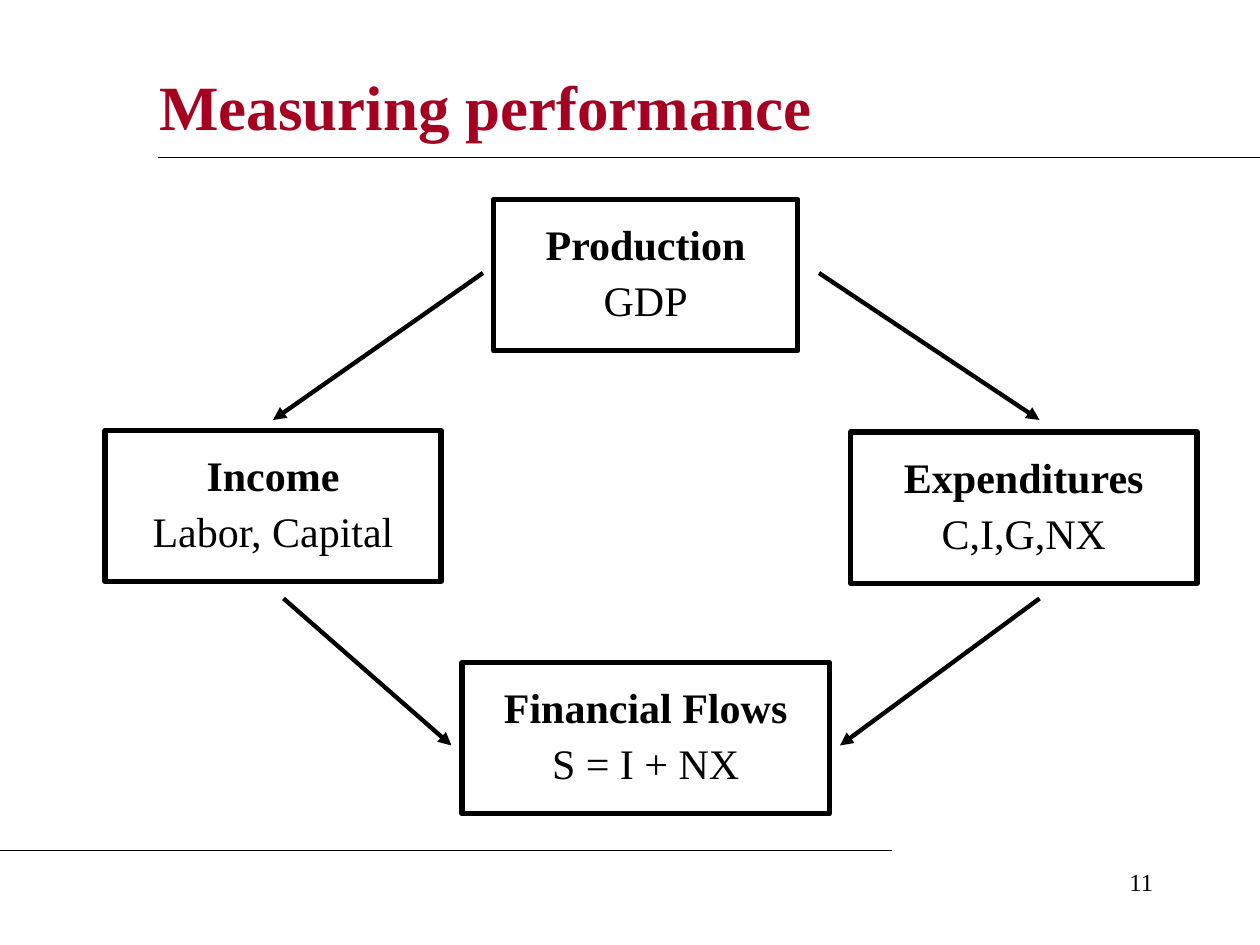
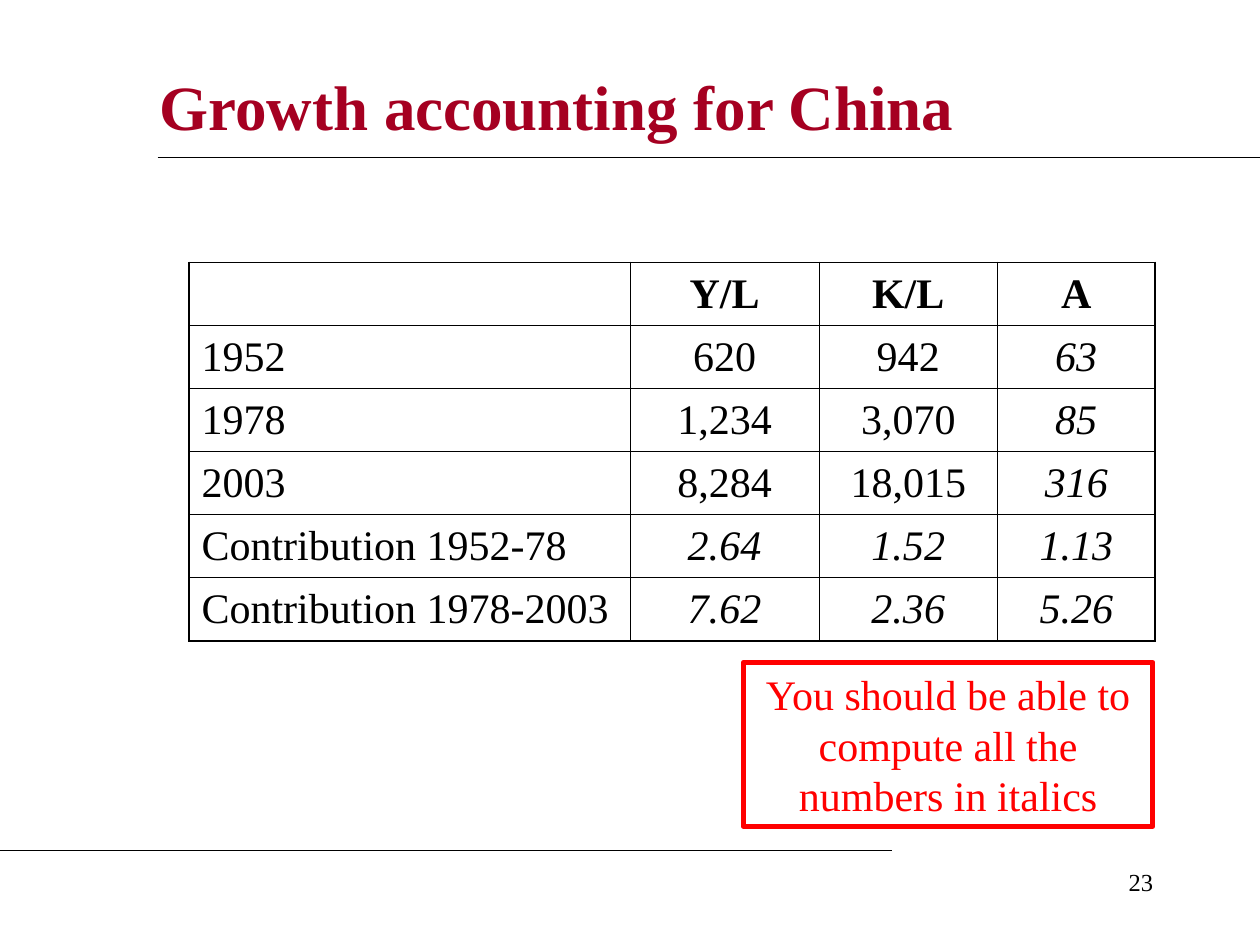
from lxml.etree import SubElement
from pptx import Presentation
from pptx.dml.color import RGBColor
from pptx.enum.shapes import MSO_CONNECTOR, MSO_SHAPE
from pptx.enum.text import MSO_ANCHOR, MSO_AUTO_SIZE, PP_ALIGN
from pptx.oxml.ns import qn
from pptx.util import Inches, Pt

FONT = "Times New Roman"
CRIMSON = RGBColor(0xA5, 0x00, 0x21)
BLACK = RGBColor(0x00, 0x00, 0x00)
RED = RGBColor(0xFF, 0x00, 0x00)
BODY_SIZE = 24
FRAME_WIDTH = 3
BOX_ROWS = 14.4
OUTER_BORDER = 1.08
INNER_BORDER = 0.45

FLOW_BOXES = [
    ("Production", "GDP", 47, 19, 29),
    ("Expenditures", "C,I,G,NX", 81, 41.15, 33),
    ("Income", "Labor, Capital", 10, 41, 32),
    ("Financial Flows", "S = I + NX", 44, 63.1, 35),
]
FLOW_ARROWS = [
    ((78, 26), (99, 40)),
    ((46, 26), (26, 40)),
    ((99, 57), (80, 71)),
    ((27, 57), (43, 71)),
]
GROWTH_ROWS = [
    ["", "Y/L", "K/L", "A"],
    ["1952", "620", "942", "63"],
    ["1978", "1,234", "3,070", "85"],
    ["2003", "8,284", "18,015", "316"],
    ["Contribution 1952-78", "2.64", "1.52", "1.13"],
    ["Contribution 1978-2003", "7.62", "2.36", "5.26"],
]
GROWTH_COLUMNS = [42, 18, 17, 15]
FIRST_CONTRIBUTION_ROW = 4


def grid(steps):
    """Turn grid steps of a twelfth of an inch into a length."""
    return Inches(steps / 12)


def style_paragraph(para, size, color=BLACK, align=PP_ALIGN.LEFT, bold=False, italic=False):
    """Set the alignment and font of one paragraph."""
    para.alignment = align
    font = para.font
    font.name, font.size = FONT, Pt(size)
    font.bold, font.italic = bold, italic
    font.color.rgb = color


def add_line(page, start, end, width, arrow=False):
    """Draw a straight black line between two grid points."""
    line = page.shapes.add_connector(
        MSO_CONNECTOR.STRAIGHT, *(grid(step) for step in (*start, *end)))
    line.line.color.rgb = BLACK
    line.line.width = Pt(width)
    if arrow:
        SubElement(line.line._get_or_add_ln(), qn("a:tailEnd"), type="triangle")
    SubElement(line._element.spPr, qn("a:effectLst"))


def add_page(deck, title, number):
    """Add a page with the shared title, rules and page number."""
    page = deck.slides.add_slide(deck.slide_layouts[5])
    heading = page.shapes.title
    heading.left, heading.top = grid(14), grid(5)
    heading.width, heading.height = grid(102), grid(10)
    heading.text_frame.text = title
    heading.text_frame.auto_size = MSO_AUTO_SIZE.NONE
    heading.text_frame.vertical_anchor = MSO_ANCHOR.MIDDLE
    style_paragraph(heading.text_frame.paragraphs[0], 36, CRIMSON, bold=True)

    add_line(page, (15, 15), (120, 15), 0.75)
    add_line(page, (0, 81), (85, 81), 0.75)

    footer = page.shapes.add_textbox(grid(86), grid(82), grid(25), grid(6)).text_frame
    footer.word_wrap = True
    footer.text = number
    style_paragraph(footer.paragraphs[0], 14, align=PP_ALIGN.RIGHT)
    return page


def add_frame(page, column, row, width, height, color):
    """Add an unfilled outlined rectangle and return its text frame."""
    box = page.shapes.add_shape(
        MSO_SHAPE.RECTANGLE, grid(column), grid(row), grid(width), grid(height))
    box.shadow.inherit = False
    box.fill.background()
    box.line.color.rgb = color
    box.line.width = Pt(FRAME_WIDTH)
    frame = box.text_frame
    frame.word_wrap = True
    frame.vertical_anchor = MSO_ANCHOR.MIDDLE
    return frame


def add_flow_box(page, name, measure, column, row, width):
    """Add a box with a bold name above its measure."""
    frame = add_frame(page, column, row, width, BOX_ROWS, BLACK)
    frame.margin_left = frame.margin_right = Inches(0.2)
    frame.margin_top = frame.margin_bottom = Inches(0.2)
    frame.text = f"{name}\n{measure}"
    for index, para in enumerate(frame.paragraphs):
        para.line_spacing = 0.9
        para.space_before = Pt(6 * index)
        style_paragraph(para, BODY_SIZE, align=PP_ALIGN.CENTER, bold=index == 0)


def set_borders(cell, widths):
    """Give the left, right, top and bottom of a cell black borders."""
    properties = cell._tc.get_or_add_tcPr()
    for side, width in zip("LRTB", widths):
        border = SubElement(properties, qn(f"a:ln{side}"), w=str(Pt(width)))
        fill = SubElement(border, qn("a:solidFill"))
        SubElement(fill, qn("a:srgbClr"), val=str(BLACK))


def add_growth_table(page):
    """Add the growth table, with computed values in italics."""
    last_row, last_column = len(GROWTH_ROWS) - 1, len(GROWTH_COLUMNS) - 1
    table = page.shapes.add_table(
        last_row + 1, last_column + 1, grid(18), grid(25),
        grid(sum(GROWTH_COLUMNS)), grid(6 * len(GROWTH_ROWS))).table
    table.first_row = table.horz_banding = False
    for column, width in zip(table.columns, GROWTH_COLUMNS):
        column.width = grid(width)
    for row, values in enumerate(GROWTH_ROWS):
        for column, value in enumerate(values):
            cell = table.cell(row, column)
            edges = (column == 0, column == last_column, row == 0, row == last_row)
            set_borders(cell, [OUTER_BORDER if edge else INNER_BORDER for edge in edges])
            cell.fill.background()
            cell.vertical_anchor = MSO_ANCHOR.MIDDLE
            cell.text = value
            computed = row >= FIRST_CONTRIBUTION_ROW or column == last_column
            style_paragraph(
                cell.text_frame.paragraphs[0], BODY_SIZE,
                align=PP_ALIGN.CENTER if column else PP_ALIGN.LEFT,
                bold=row == 0, italic=row > 0 and column > 0 and computed)


def add_callout(page, text):
    """Add the red framed remark below the table."""
    frame = add_frame(page, 70.8, 63.1, 39, 15.6, RED)
    frame.text = text
    style_paragraph(frame.paragraphs[0], BODY_SIZE, RED, PP_ALIGN.CENTER)


def main():
    """Build both pages and save the deck."""
    deck = Presentation()
    deck.slide_width, deck.slide_height = Inches(10), Inches(7.5)

    page = add_page(deck, "Measuring performance", "11")
    for flow_box in FLOW_BOXES:
        add_flow_box(page, *flow_box)
    for start, end in FLOW_ARROWS:
        add_line(page, start, end, 2.5, arrow=True)

    page = add_page(deck, "Growth accounting for China", "23")
    add_growth_table(page)
    add_callout(page, "You should be able to compute all the numbers in italics")

    deck.save("out.pptx")


if __name__ == "__main__":
    main()
